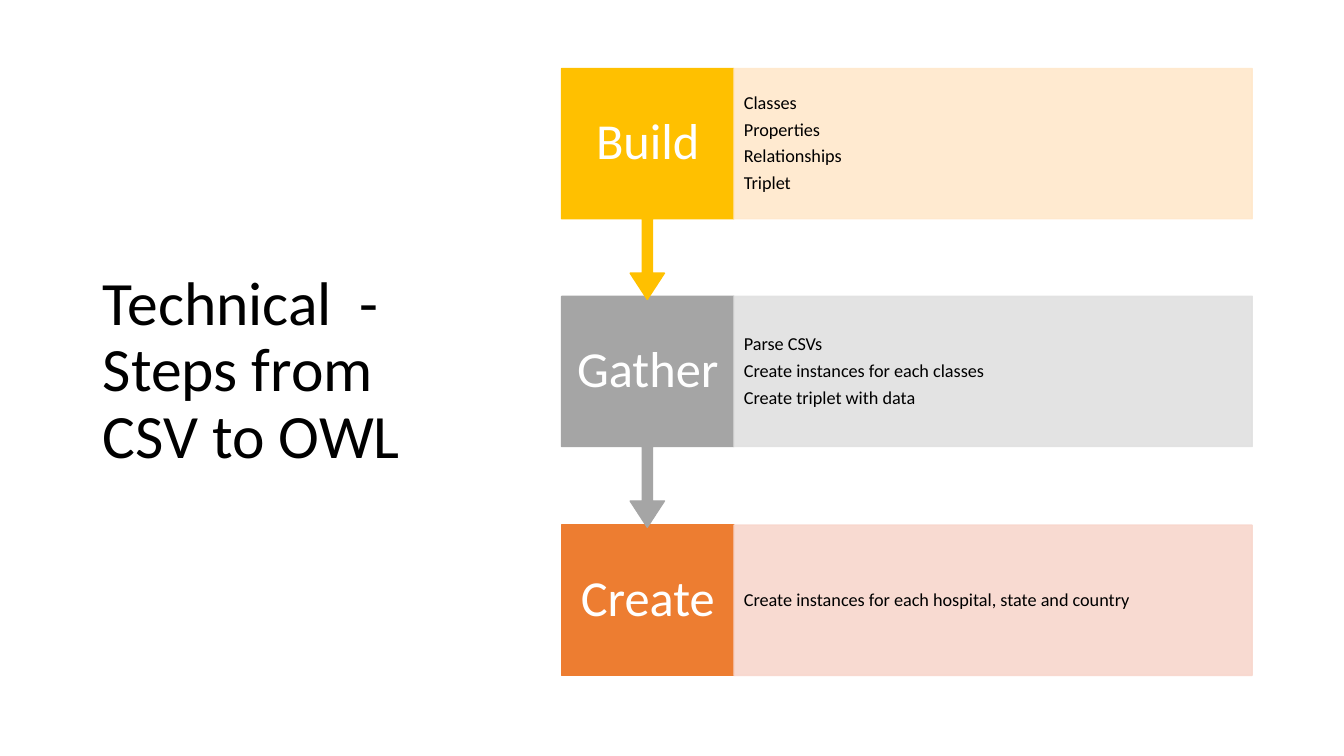
from lxml import etree
from pptx import Presentation
from pptx.dml.color import RGBColor
from pptx.enum.shapes import MSO_SHAPE
from pptx.enum.text import MSO_ANCHOR, MSO_AUTO_SIZE, PP_ALIGN
from pptx.oxml.ns import qn
from pptx.util import Pt

TITLE = "Technical  - Steps from CSV to OWL"
STEPS = [
    ("Build", "gold", "cream", ["Classes", "Properties", "Relationships", "Triplet"]),
    ("Gather", "gray", "silver",
     ["Parse CSVs", "Create instances for each classes", "Create triplet with data"]),
    ("Create", "orange", "pink",
     ["Create instances for each hospital, state and country"]),
]
COLORS = {
    "gold": "FFC000", "gray": "A5A5A5", "orange": "ED7D31",
    "cream": "FFE8CB", "silver": "E1E1E1", "pink": "F8D7CD",
    "white": "FFFFFF", "black": "000000",
}

PX = 9144  # EMU; 100 px to the inch
SLIDE_W, SLIDE_H = 1333, 750
TITLE_BOX = (92, 68, 369, 602)
LEFT, TOP = 557, 68
HEAD_W, BODY_W, ROW_H = 171, 514, 149
SPAN = 453  # from the first row to the third
ARROW_H, TIP_H = 80, 26
STEM_HALF, TIP_HALF = 5, 17
BODY_ALPHA = 90

HEAD_TEXT = {"size": Pt(36), "color": "white", "align": PP_ALIGN.CENTER, "after": Pt(15)}
BODY_TEXT = {"size": Pt(13), "color": "black", "align": PP_ALIGN.LEFT, "after": Pt(5)}
TITLE_TEXT = {"size": Pt(44), "color": "black", "align": PP_ALIGN.LEFT, "after": Pt(0)}


def rgb(name):
    return RGBColor.from_string(COLORS[name])


def write(sp, lines, style, insets):
    """Fill a shape with paragraphs; insets are left, top, right, bottom in px."""
    tf = sp.text_frame
    frame = {"word_wrap": True, "auto_size": MSO_AUTO_SIZE.NONE,
             "vertical_anchor": MSO_ANCHOR.MIDDLE}
    for side, inset in zip(("left", "top", "right", "bottom"), insets):
        frame["margin_" + side] = inset * PX
    for name, value in frame.items():
        setattr(tf, name, value)
    for i, line in enumerate(lines):
        p = tf.paragraphs[0] if i == 0 else tf.add_paragraph()
        for name, value in {"alignment": style["align"], "line_spacing": 0.9,
                            "space_before": Pt(0), "space_after": style["after"]}.items():
            setattr(p, name, value)
        r = p.add_run()
        r.text = line
        r.font.name, r.font.size = "Calibri", style["size"]
        r.font.color.rgb = rgb(style["color"])


def paint(sp, color, alpha=100):
    sp.shadow.inherit = False
    sp.line.width = Pt(1)
    for fill in (sp.fill, sp.line.fill):
        fill.solid()
        fill.fore_color.rgb = rgb(color)
    if alpha < 100:
        for clr in sp._element.spPr.iter(qn("a:srgbClr")):
            etree.SubElement(clr, qn("a:alpha"), val=str(alpha * 1000))


def add_head(shapes, top, has_arrow):
    """Step box, with an arrow down to the next step unless it is the last."""
    right, bottom, mid = LEFT + HEAD_W, top + ROW_H, LEFT + HEAD_W // 2
    if not has_arrow:
        return shapes.add_shape(MSO_SHAPE.RECTANGLE, LEFT * PX, top * PX,
                                HEAD_W * PX, ROW_H * PX)
    tip = bottom + ARROW_H
    neck = tip - TIP_H
    arrow = [(mid + STEM_HALF, bottom), (mid + STEM_HALF, neck), (mid + TIP_HALF, neck),
             (mid, tip),
             (mid - TIP_HALF, neck), (mid - STEM_HALF, neck), (mid - STEM_HALF, bottom)]
    outline = [(right, bottom), *arrow, (LEFT, bottom), (LEFT, top)]
    builder = shapes.build_freeform(right, top, scale=PX)
    builder.add_line_segments(outline, close=True)
    return builder.convert_to_shape()


def main():
    prs = Presentation()
    prs.slide_width, prs.slide_height = SLIDE_W * PX, SLIDE_H * PX
    slide = prs.slides.add_slide(prs.slide_layouts[5])
    shapes = slide.shapes

    title = shapes.title
    for name, value in zip(("left", "top", "width", "height"), TITLE_BOX):
        setattr(title, name, value * PX)
    write(title, [TITLE], TITLE_TEXT, (10, 5, 10, 5))

    last = len(STEPS) - 1
    for i in range(last, -1, -1):  # bottom row first, so arrow tips lie on top
        name, dark, light, lines = STEPS[i]
        top = TOP + i * SPAN // last
        has_arrow = i < last

        head = add_head(shapes, top, has_arrow)
        paint(head, dark)
        write(head, [name], HEAD_TEXT, (12, 28, 12, 28 + ARROW_H * has_arrow))

        body = shapes.add_shape(MSO_SHAPE.RECTANGLE, (LEFT + HEAD_W) * PX, top * PX,
                                BODY_W * PX, ROW_H * PX)
        paint(body, light, BODY_ALPHA)
        write(body, lines, BODY_TEXT, (10, 18, 10, 18))

    prs.save("out.pptx")


if __name__ == "__main__":
    main()
